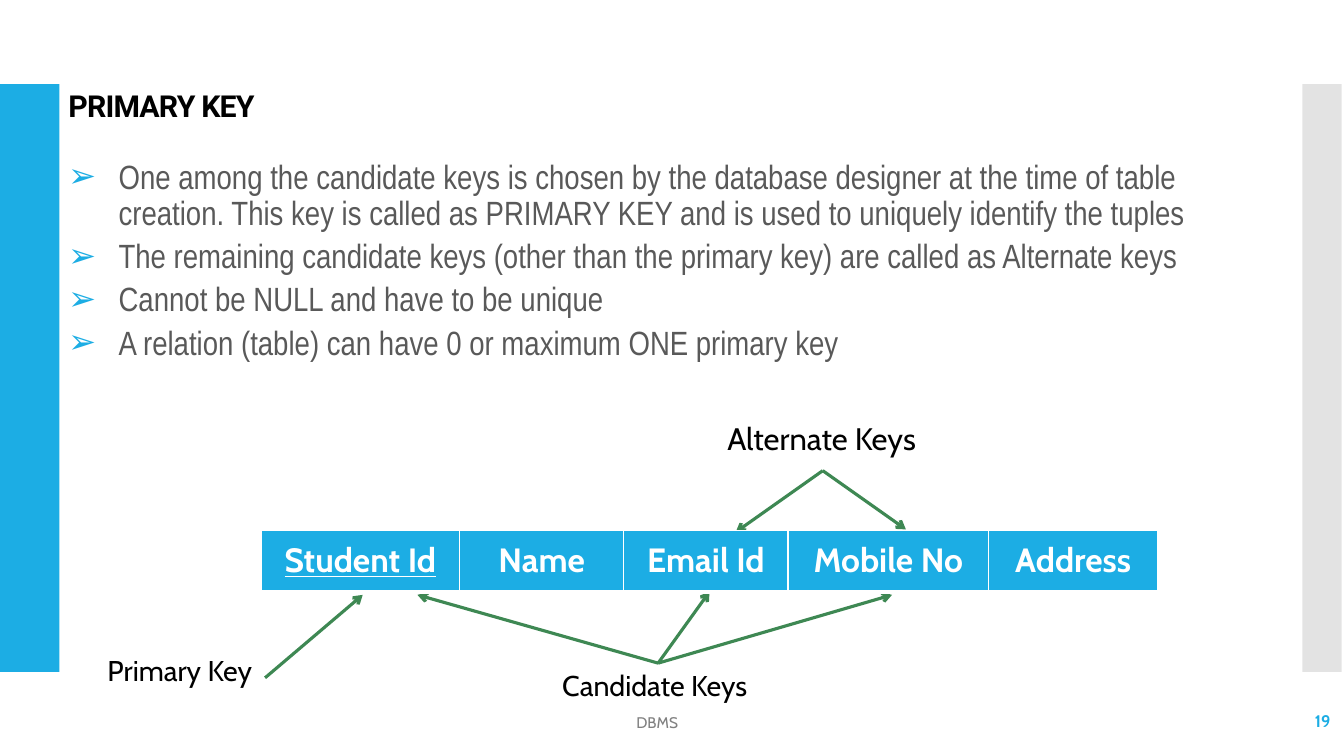
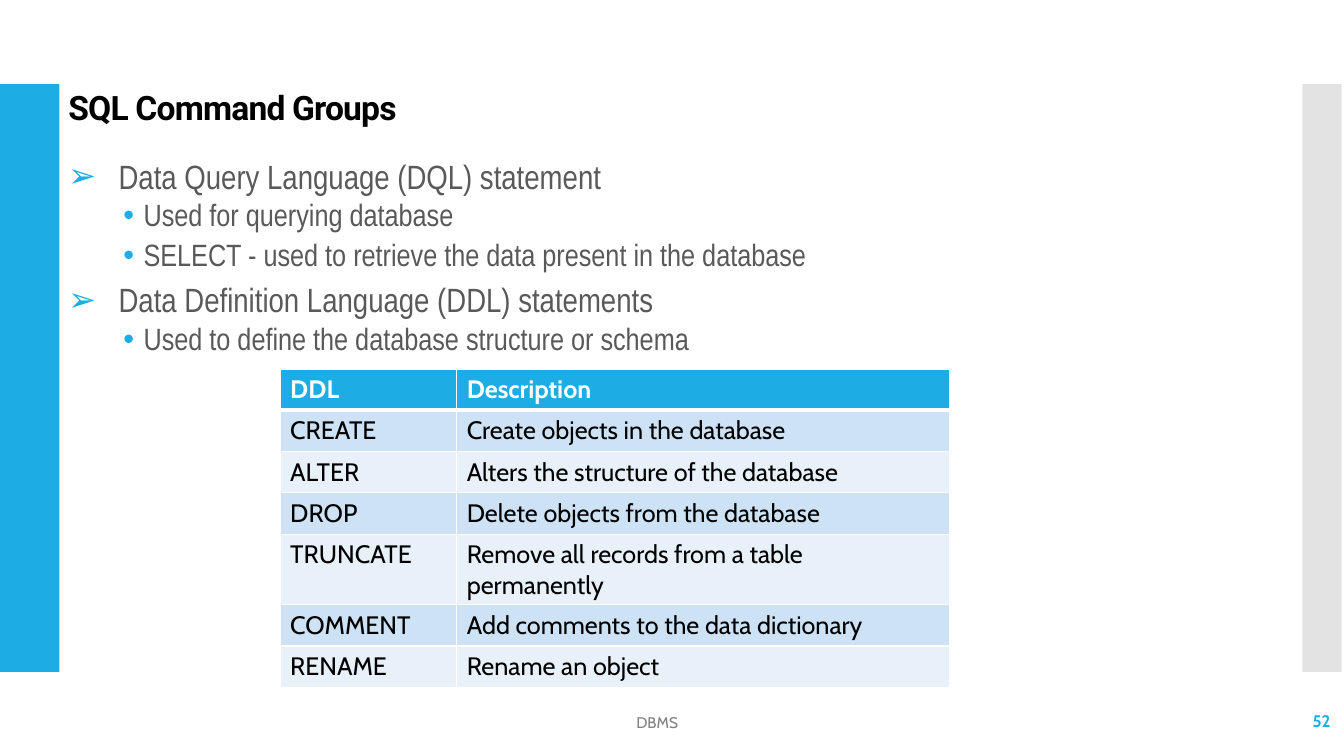
from lxml.etree import SubElement
from pptx import Presentation
from pptx.dml.color import RGBColor
from pptx.enum.shapes import MSO_CONNECTOR, MSO_SHAPE
from pptx.enum.text import MSO_ANCHOR, MSO_AUTO_SIZE, PP_ALIGN
from pptx.oxml.ns import qn
from pptx.util import Cm, Pt

BLUE, GREY, GREEN = "1CADE4", "C8C8C8", "3E8853"
WHITE, BLACK, BODY_GREY, FOOTER_GREY = "FFFFFF", "000000", "595959", "808080"
ROW_TINTS = ("CDE3F5", "E8F1FA")
TITLE_FONT, BODY_FONT, LABEL_FONT = "Roboto", "Arial Narrow", "Cabin"

BANDS = [((0, 2.12, 1.5, 14.81), BLUE, 100), ((32.82, 2.12, 0.99, 14.81), GREY, 50)]
TITLE_BOX = (1.47, 2.18, 26.52, 1.02)
BODY_BOX = (1.47, 3.91, 29.51, 13.61)
FOOTER_BOX = (8.36, 17.7, 16.41, 1.02)
NUMBER_BOX = (29.54, 17.65, 4.24, 1.02)
FOOTER = "DBMS"

LEVELS = [
    {"char": "➢", "margin": 1.27, "hang": 1.27, "size": 24, "before": 5, "after": 0},
    {"char": "•", "margin": 1.9, "hang": 0.51, "size": 22, "before": 2.5, "after": 2.5},
]

PRIMARY_KEY = {
    "title": "PRIMARY KEY",
    "title_size": 21.6,
    "number": "19",
    "points": [
        (0, "One among the candidate keys is chosen by the database designer at the time of table "
            "creation. This key is called as PRIMARY KEY and is used to uniquely identify the tuples"),
        (0, "The remaining candidate keys (other than the primary key) are called as Alternate keys"),
        (0, "Cannot be NULL and have to be unique"),
        (0, "A relation (table) can have 0 or maximum ONE primary key"),
    ],
}
ATTRIBUTES = [("Student Id", 5), ("Name", 4.14), ("Email Id", 4.14), ("Mobile No", 5.05), ("Address", 4.27)]
KEY_ATTRIBUTE = "Student Id"
KEY_LABELS = [
    ("Primary Key", (2.46, 16.43, 4.22, 1.3), 20.4, 0.9, 3, [(9.14, 14.99)]),
    ("Candidate Keys", (13.92, 16.71, 5.33, 1.37), 20.4, 1.0, 0,
     [(10.52, 14.99), (17.88, 14.91), (22.48, 14.99)]),
    ("Alternate Keys", (18.08, 10.44, 5.31, 1.42), 22.2, 1.0, 2, [(18.54, 13.41), (22.83, 13.34)]),
]

COMMAND_GROUPS = {
    "title": "SQL Command Groups",
    "title_size": 24,
    "number": "52",
    "points": [
        (0, "Data Query Language (DQL) statement"),
        (1, "Used for querying database"),
        (1, "SELECT - used to retrieve the data present in the database"),
        (0, "Data Definition Language (DDL) statements"),
        (1, "Used to define the database structure or schema"),
    ],
}
DDL_ROWS = [
    ("DDL", "Description"),
    ("CREATE", "Create objects in the database"),
    ("ALTER", "Alters the structure of the database"),
    ("DROP", "Delete objects from the database"),
    ("TRUNCATE", "Remove all records from a table permanently"),
    ("COMMENT", "Add comments to the data dictionary"),
    ("RENAME", "Rename an object"),
]


def rgb(colour):
    return RGBColor.from_string(colour)


def lengths(values):
    return [Cm(value) for value in values]


def add_run(paragraph, text, size, font, colour, bold=False, underline=False):
    run = paragraph.add_run()
    run.text = text
    run.font.size = Pt(size)
    run.font.name = font
    run.font.color.rgb = rgb(colour)
    run.font.bold = bold
    run.font.underline = underline
    return run


def add_text(slide, box, text, size, colour, bold=False, align=PP_ALIGN.LEFT,
             anchor=MSO_ANCHOR.TOP, spacing=1.0):
    label = slide.shapes.add_textbox(*lengths(box))
    frame = label.text_frame
    frame.word_wrap = True
    frame.vertical_anchor = anchor
    frame.margin_right = Cm(0.25 if align == PP_ALIGN.RIGHT else 0)
    if align == PP_ALIGN.CENTER:
        frame.margin_left = 0
    paragraph = frame.paragraphs[0]
    paragraph.alignment = align
    paragraph.line_spacing = spacing
    add_run(paragraph, text, size, LABEL_FONT, colour, bold)
    return label


def add_bands(slide):
    for box, colour, opacity in BANDS:
        band = slide.shapes.add_shape(MSO_SHAPE.RECTANGLE, *lengths(box))
        band.shadow.inherit = False
        band.line.fill.background()
        band.fill.solid()
        band.fill.fore_color.rgb = rgb(colour)
        if opacity < 100:
            tint = band.fill._xPr.find(".//" + qn("a:srgbClr"))
            SubElement(tint, qn("a:alpha")).set("val", str(opacity * 1000))


def format_title(slide, text, size):
    title = slide.shapes.title
    title.left, title.top, title.width, title.height = lengths(TITLE_BOX)
    frame = title.text_frame
    frame.word_wrap = True
    frame.auto_size = MSO_AUTO_SIZE.NONE
    frame.vertical_anchor = MSO_ANCHOR.TOP
    paragraph = frame.paragraphs[0]
    paragraph.alignment = PP_ALIGN.LEFT
    paragraph.line_spacing = 0.9
    run = add_run(paragraph, text, size, TITLE_FONT, BLACK, True)
    run.font._element.set("spc", "-60")


def add_bullet(paragraph, level):
    properties = paragraph._p.get_or_add_pPr()
    properties.set("marL", str(Cm(level["margin"])))
    properties.set("indent", str(-Cm(level["hang"])))
    colour = SubElement(properties, qn("a:buClr"))
    SubElement(colour, qn("a:srgbClr")).set("val", BLUE)
    SubElement(properties, qn("a:buFont")).set("typeface", "Arial")
    SubElement(properties, qn("a:buChar")).set("char", level["char"])


def add_points(slide, points):
    frame = slide.shapes.add_textbox(*lengths(BODY_BOX)).text_frame
    frame.word_wrap = True
    for index, (depth, text) in enumerate(points):
        level = LEVELS[depth]
        paragraph = frame.add_paragraph() if index else frame.paragraphs[0]
        add_bullet(paragraph, level)
        paragraph.level = depth
        paragraph.line_spacing = 0.9
        paragraph.space_before = Pt(level["before"] if index else 0)
        paragraph.space_after = Pt(level["after"])
        add_run(paragraph, text, level["size"], BODY_FONT, BODY_GREY)


def add_content_slide(deck, content):
    slide = deck.slides.add_slide(deck.slide_layouts[5])
    add_bands(slide)
    format_title(slide, content["title"], content["title_size"])
    add_points(slide, content["points"])
    add_text(slide, FOOTER_BOX, FOOTER, 11, FOOTER_GREY,
             align=PP_ALIGN.CENTER, anchor=MSO_ANCHOR.MIDDLE)
    add_text(slide, NUMBER_BOX, content["number"], 12, BLUE, True,
             PP_ALIGN.RIGHT, MSO_ANCHOR.MIDDLE)
    return slide


def add_grid(slide, left, top, widths, row_height, row_count):
    grid = slide.shapes.add_table(row_count, len(widths), *lengths(
        (left, top, sum(widths), row_height * row_count))).table
    grid.first_row = grid.horz_banding = False
    for column, width in zip(grid.columns, widths):
        column.width = Cm(width)
    for row in grid.rows:
        row.height = Cm(row_height)
    return grid


def style_cell(cell, fill, bottom_width):
    properties = cell._tc.get_or_add_tcPr()
    for side, width in (("L", 1), ("R", 1), ("T", 1), ("B", bottom_width)):
        border = SubElement(properties, qn("a:ln" + side), w=str(Pt(width)))
        paint = SubElement(border, qn("a:solidFill"))
        SubElement(paint, qn("a:srgbClr")).set("val", WHITE)
    cell.fill.solid()
    cell.fill.fore_color.rgb = rgb(fill)


def add_arrow(slide, label, site, tip):
    arrow = slide.shapes.add_connector(MSO_CONNECTOR.STRAIGHT, label.left, label.top, *lengths(tip))
    arrow.begin_connect(label, site)
    arrow.line.color.rgb = rgb(GREEN)
    arrow.line.width = Pt(2.25)
    SubElement(arrow.line._get_or_add_ln(), qn("a:tailEnd")).set("type", "arrow")
    SubElement(arrow._element.spPr, qn("a:effectLst"))


def build_primary_key(deck):
    slide = add_content_slide(deck, PRIMARY_KEY)
    for text, box, size, spacing, site, tips in KEY_LABELS:
        label = add_text(slide, box, text, size, BLACK, spacing=spacing)
        for tip in tips:
            add_arrow(slide, label, site, tip)
    relation = add_grid(slide, 6.58, 13.36, [width for _, width in ATTRIBUTES], 1.55, 1)
    for column, (attribute, _) in enumerate(ATTRIBUTES):
        cell = relation.cell(0, column)
        style_cell(cell, BLUE, 3)
        cell.margin_left = cell.margin_right = Cm(0.36)
        cell.vertical_anchor = MSO_ANCHOR.MIDDLE
        paragraph = cell.text_frame.paragraphs[0]
        paragraph.alignment = PP_ALIGN.CENTER
        add_run(paragraph, attribute, 24, LABEL_FONT, WHITE, True, attribute == KEY_ATTRIBUTE)


def build_command_groups(deck):
    slide = add_content_slide(deck, COMMAND_GROUPS)
    commands = add_grid(slide, 7.06, 9.3, [4.45, 12.42], 1.04, len(DDL_ROWS))
    for row, texts in enumerate(DDL_ROWS):
        header = row == 0
        for column, text in enumerate(texts):
            cell = commands.cell(row, column)
            style_cell(cell, BLUE if header else ROW_TINTS[(row - 1) % 2], 3 if header else 1)
            add_run(cell.text_frame.paragraphs[0], text, 18, LABEL_FONT,
                    WHITE if header else BLACK, header)


def main():
    deck = Presentation()
    deck.slide_width, deck.slide_height = lengths((33.87, 19.05))
    build_primary_key(deck)
    build_command_groups(deck)
    deck.save("out.pptx")


if __name__ == "__main__":
    main()
